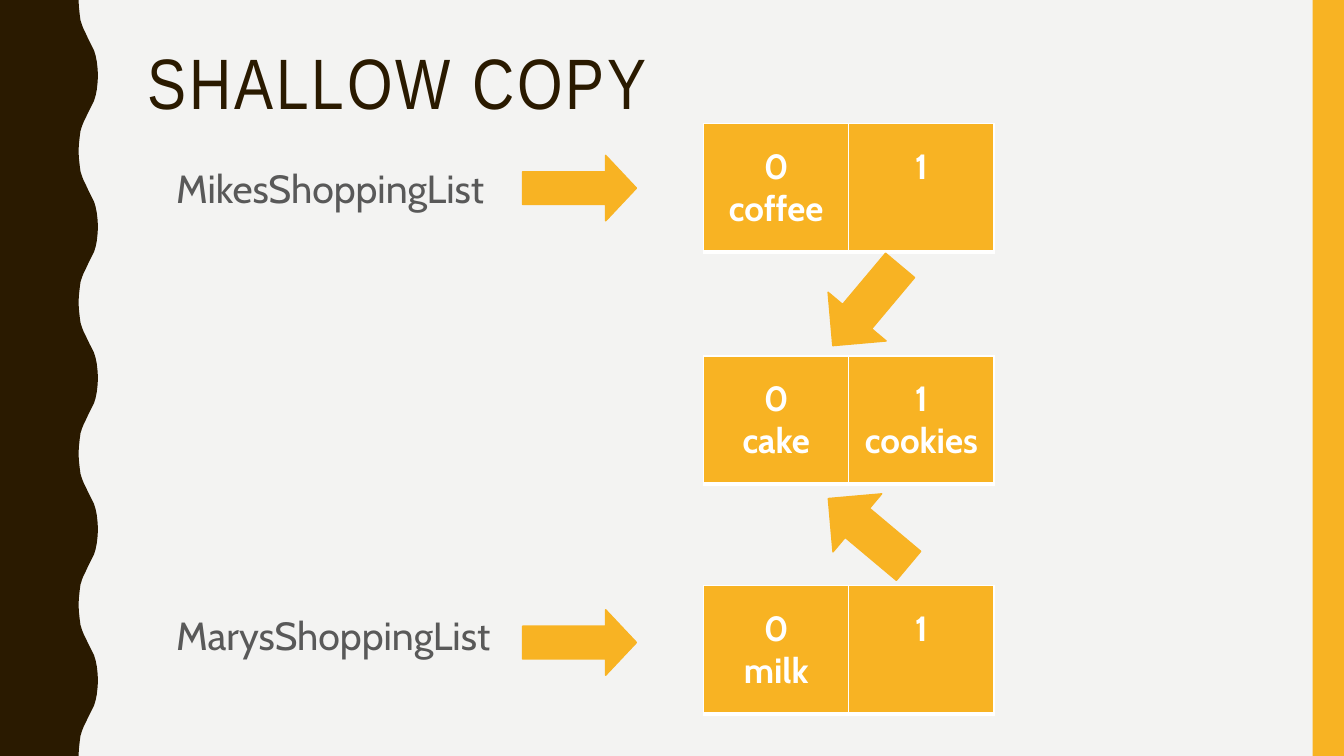
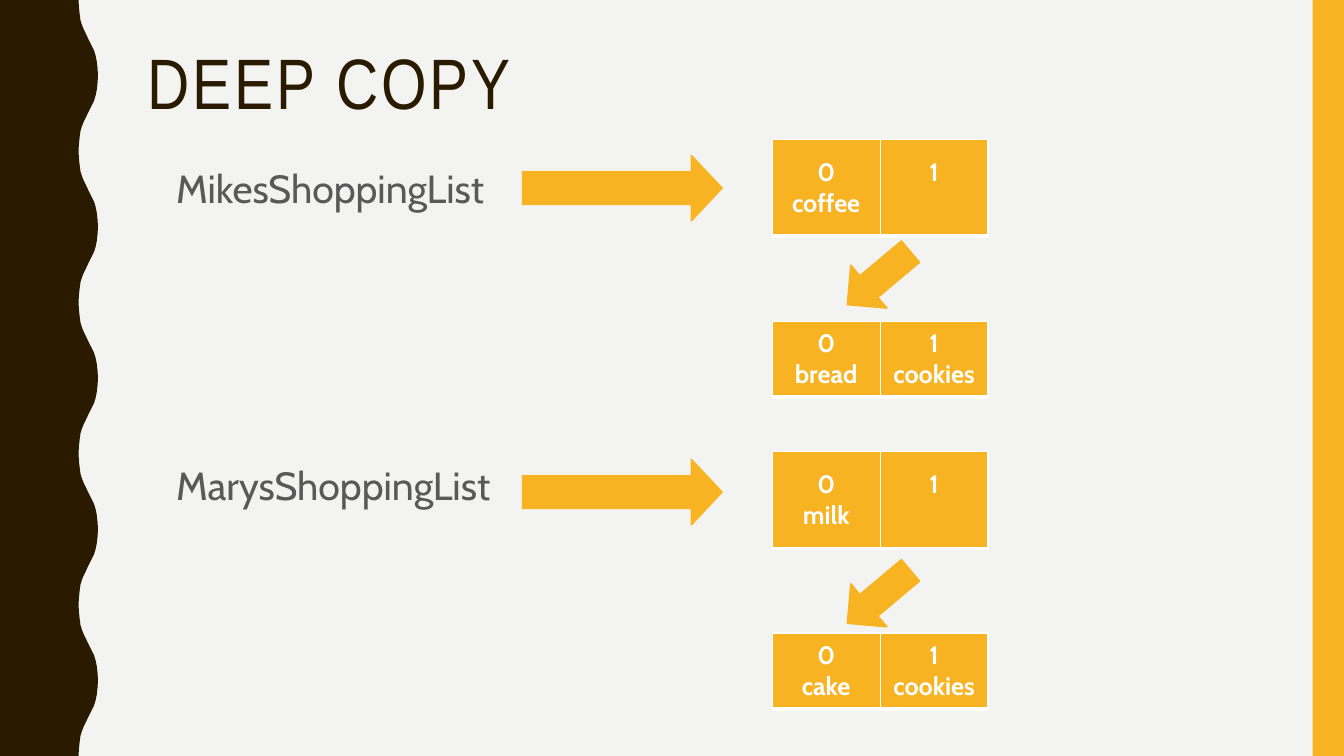
import pptx
import pptx.dml.color
import pptx.enum.shapes
import pptx.enum.text
import pptx.oxml
import pptx.oxml.ns
import pptx.util
from pptx.util import Cm

COLORS = {
    "background": "F3F3F2",
    "brown": "2A1A00",
    "amber": "F8B323",
    "gray": "595959",
    "white": "FFFFFF",
}
TITLE_FONT = "Arial Narrow"
BODY_FONT = "Cabin"

SLIDE_WIDTH, SLIDE_HEIGHT = 33.87, 19.05
BAND_WIDTH = 0.79
WAVE_COUNT = 5
WAVE_HEIGHT = SLIDE_HEIGHT / WAVE_COUNT
# Edge of the wave from its trough to just before its crest.
WAVE_RISE = [
    (1.98, 0), (1.99, 0.18), (2.01, 0.36), (2.03, 0.51), (2.07, 0.64),
    (2.11, 0.74), (2.16, 0.84), (2.22, 0.97), (2.27, 1.07), (2.32, 1.17),
    (2.37, 1.27), (2.41, 1.4), (2.44, 1.55), (2.46, 1.73),
]
WAVE_CREST = (2.47, WAVE_HEIGHT / 2)

LABEL_LEFT = 4.19
POINTER_LEFT, POINTER_THICKNESS = 13.17, 1.65
CELL_MARGIN = 0.13
BORDER_WIDTHS = {"lnL": 1, "lnR": 1, "lnT": 1, "lnB": 3}


def color(name):
    """Return the named colour of the palette."""
    return pptx.dml.color.RGBColor.from_string(COLORS[name])


def format_runs(paragraph, font_name, size, color_name, bold=False):
    """Give all runs of a paragraph one look."""
    for run in paragraph.runs:
        run.font.name = font_name
        run.font.size = pptx.util.Pt(size)
        run.font.bold = bold
        run.font.color.rgb = color(color_name)


def add_text(slide, text, box, font_name, size, color_name, line_spacing):
    """Add a wrapped one-paragraph text box and return its paragraph."""
    text_frame = slide.shapes.add_textbox(*map(Cm, box)).text_frame
    text_frame.word_wrap = True
    paragraph = text_frame.paragraphs[0]
    paragraph.text = text
    paragraph.line_spacing = line_spacing
    format_runs(paragraph, font_name, size, color_name)
    return paragraph


def add_title(slide, text):
    """Add the letter-spaced slide title."""
    paragraph = add_text(slide, text, (3.48, 1.07, 28.27, 4.14),
                         TITLE_FONT, 51, "brown", 0.9)
    for run in paragraph.runs:
        run._r.get_or_add_rPr().set("spc", "200")


def add_label(slide, text, top):
    """Add the name of a list variable."""
    paragraph = add_text(slide, text, (LABEL_LEFT, top, 8.99, 2.11),
                         BODY_FONT, 28, "gray", 1.1)
    paragraph.space_before = pptx.util.Pt(7)


def paint(shape, color_name):
    """Fill a shape flat, without outline or shadow."""
    shape.shadow.inherit = False
    shape.fill.solid()
    shape.fill.fore_color.rgb = color(color_name)
    shape.line.fill.background()


def add_wave(slide):
    """Draw the dark left edge with its repeated wave."""
    fall = [(x, WAVE_HEIGHT - y) for x, y in reversed(WAVE_RISE)]
    wave = WAVE_RISE + [WAVE_CREST] + fall
    points = [(x, y + index * WAVE_HEIGHT)
              for index in range(WAVE_COUNT) for x, y in wave]
    points.append((0, SLIDE_HEIGHT))
    builder = slide.shapes.build_freeform(0, 0)
    builder.add_line_segments([(Cm(x), Cm(y)) for x, y in points], close=True)
    paint(builder.convert_to_shape(), "brown")


def add_band(slide):
    """Draw the amber band along the right edge."""
    band = slide.shapes.add_shape(
        pptx.enum.shapes.MSO_SHAPE.RECTANGLE, Cm(SLIDE_WIDTH - BAND_WIDTH), 0,
        Cm(BAND_WIDTH), Cm(SLIDE_HEIGHT))
    paint(band, "amber")


def add_arrow(slide, box, rotation):
    """Add a rotated amber block arrow and return it."""
    arrow = slide.shapes.add_shape(
        pptx.enum.shapes.MSO_SHAPE.DOWN_ARROW, *map(Cm, box))
    paint(arrow, "amber")
    arrow.line.color.rgb = color("amber")
    arrow.line.width = pptx.util.Pt(1)
    arrow.rotation = rotation
    return arrow


def add_pointer(slide, middle, length):
    """Point from a label to its list, centred on the height middle."""
    left = POINTER_LEFT + (length - POINTER_THICKNESS) / 2
    box = (left, middle - length / 2, POINTER_THICKNESS, length)
    arrow = add_arrow(slide, box, 270)
    arrow.adjustments[1] = 0.47


def add_borders(cell):
    """Draw white borders around a cell, the lower one thicker."""
    properties = cell._tc.get_or_add_tcPr()
    for position, (tag, points) in enumerate(BORDER_WIDTHS.items()):
        border = pptx.oxml.parse_xml(
            f'<a:{tag} {pptx.oxml.ns.nsdecls("a")} w="{pptx.util.Pt(points)}">'
            f'<a:solidFill><a:srgbClr val="{COLORS["white"]}"/></a:solidFill>'
            f'</a:{tag}>')
        properties.insert(position, border)


def fill_cell(cell, lines, size):
    """Write an index and, below it, its item if there is one."""
    cell.fill.solid()
    cell.fill.fore_color.rgb = color("amber")
    add_borders(cell)
    cell.vertical_anchor = pptx.enum.text.MSO_ANCHOR.MIDDLE
    cell.margin_top = cell.margin_bottom = Cm(CELL_MARGIN)
    if len(lines) == 1:
        # Keep a lone index level with its neighbour's.
        cell.margin_bottom = Cm(CELL_MARGIN) + pptx.util.Pt(1.21 * size)
    cell.text_frame.text = "\n".join(lines)
    for paragraph in cell.text_frame.paragraphs:
        paragraph.alignment = pptx.enum.text.PP_ALIGN.CENTER
        format_runs(paragraph, BODY_FONT, size, "white", bold=True)


def add_list(slide, items, box, size):
    """Add a one-row table of indexed items; None leaves an item out."""
    table = slide.shapes.add_table(1, len(items), *map(Cm, box)).table
    table.first_row = table.horz_banding = False
    for index, item in enumerate(items):
        lines = [str(index)] + ([item] if item else [])
        fill_cell(table.cell(0, index), lines, size)


def add_base_slide(presentation, title):
    """Add a slide with the shared background, edges and title."""
    slide = presentation.slides.add_slide(presentation.slide_layouts[6])
    slide.background.fill.solid()
    slide.background.fill.fore_color.rgb = color("background")
    add_wave(slide)
    add_band(slide)
    add_title(slide, title)
    return slide


def add_shallow_copy(presentation):
    """Show two lists that share one inner list."""
    slide = add_base_slide(presentation, "SHALLOW COPY")
    for name, label_top, middle in (("MikesShoppingList", 3.89, 4.74),
                                    ("MarysShoppingList", 15.16, 16.19)):
        add_label(slide, name, label_top)
        add_pointer(slide, middle, 2.87)
    for items, top in ((("coffee", None), 3.12),
                       (("cake", "cookies"), 8.97),
                       (("milk", None), 14.76)):
        add_list(slide, items, (17.73, top, 7.32, 3.23), 25)
    add_arrow(slide, (20.88, 6.38, 1.91, 2.64), 40)
    add_arrow(slide, (20.93, 12.09, 1.91, 2.64), 130)


def add_deep_copy(presentation):
    """Show two lists that each own an inner list."""
    slide = add_base_slide(presentation, "DEEP COPY")
    left, width = 19.46, 5.44
    for name, label_top, middle, outer, outer_top, arrow_top, inner, inner_top in (
            ("MikesShoppingList", 3.89, 4.74, ("coffee", None), 3.51,
             5.97, ("bread", "cookies"), 8.1),
            ("MarysShoppingList", 11.38, 12.4, ("milk", None), 11.38,
             14, ("cake", "cookies"), 15.95)):
        add_label(slide, name, label_top)
        add_pointer(slide, middle, 5.03)
        add_list(slide, outer, (left, outer_top, width, 2.44), 18)
        add_arrow(slide, (21.44, arrow_top, 1.42, 2.08), 50)
        add_list(slide, inner, (left, inner_top, width, 1.91), 18)


def main():
    """Build and save the presentation."""
    presentation = pptx.Presentation()
    presentation.slide_width = Cm(SLIDE_WIDTH)
    presentation.slide_height = Cm(SLIDE_HEIGHT)
    add_shallow_copy(presentation)
    add_deep_copy(presentation)
    presentation.save("out.pptx")


main()
